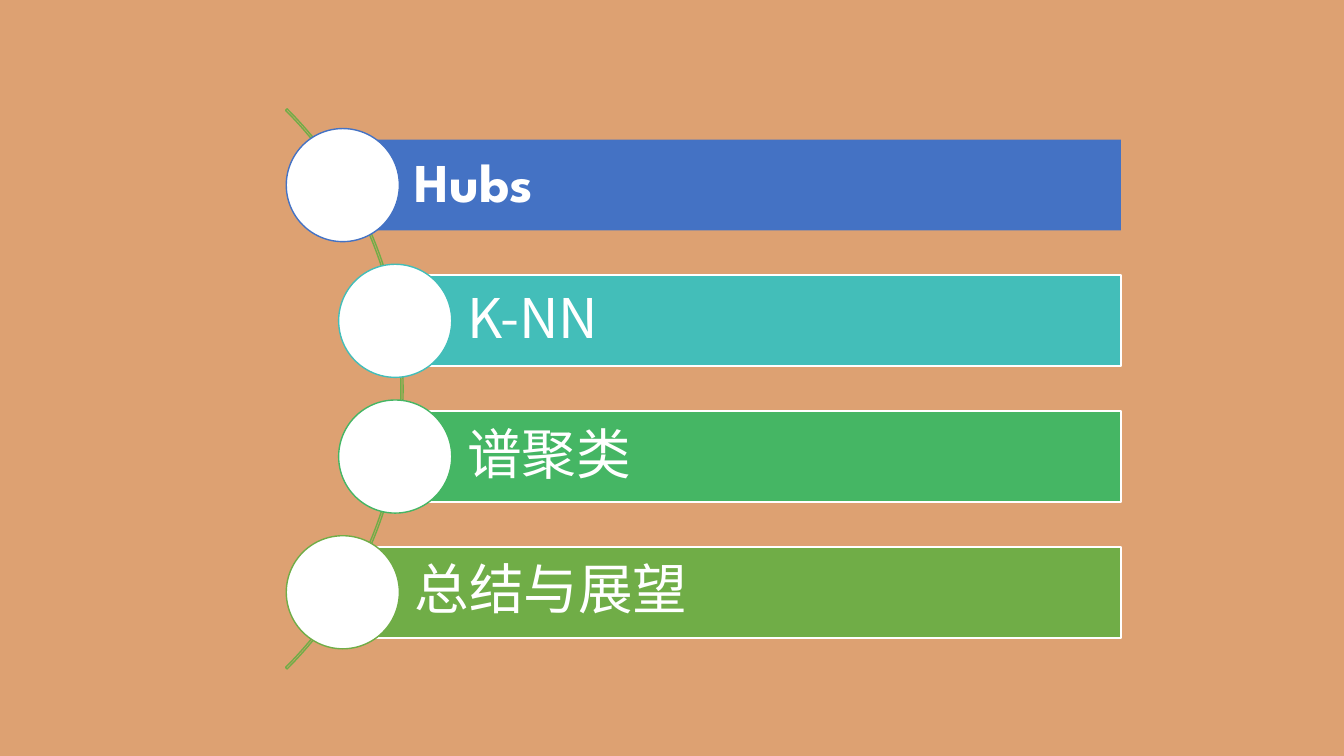
import pptx
import pptx.util
import pptx.dml.color
import pptx.enum.shapes
import pptx.enum.text
import pptx.oxml
import pptx.oxml.ns

Cm, Pt = pptx.util.Cm, pptx.util.Pt
RGBColor = pptx.dml.color.RGBColor
MSO_SHAPE = pptx.enum.shapes.MSO_SHAPE

SAND = RGBColor(0xDD, 0xA1, 0x72)
WHITE = RGBColor(0xFF, 0xFF, 0xFF)
BLUE = RGBColor(0x44, 0x72, 0xC4)
TEAL = RGBColor(0x43, 0xBE, 0xB9)
EMERALD = RGBColor(0x45, 0xB6, 0x64)
GREEN = RGBColor(0x70, 0xAD, 0x47)
SANS = "Noto Sans CJK SC"


def add_shape(s, kind, left, top, width, height, fill, line, line_width):
    sp = s.shapes.add_shape(kind, Cm(left), Cm(top), Cm(width), Cm(height))
    sp.shadow.inherit = False
    for fmt, color in ((sp.fill, fill), (sp.line.fill, line)):
        if color is None:
            fmt.background()
        else:
            fmt.solid()
            fmt.fore_color.rgb = color
    if line is not None:
        sp.line.width = Pt(line_width)
    return sp


prs = pptx.Presentation()
prs.slide_width, prs.slide_height = Cm(33.87), Cm(19.05)
s = prs.slides.add_slide(prs.slide_layouts[6])
s.background.fill.solid()
s.background.fill.fore_color.rgb = SAND

# Arc behind the agenda
arc = add_shape(s, MSO_SHAPE.BLOCK_ARC, -9.8, -0.18, 19.96, 19.96, None, GREEN, 1)
for i, value in enumerate((189, 27, 0.00275)):
    arc.adjustments[i] = value

# Agenda bars, each with a circle centred on its left end
BAR_TOP, BAR_STEP, BAR_HEIGHT, BAR_RIGHT = 3.52, 3.42, 2.29, 28.25
CIRCLE = 2.85
agenda = [
    ("Hubs", 8.64, BLUE, None, "League Spartan", True),
    ("K-NN", 9.96, TEAL, WHITE, SANS, False),
    ("谱聚类", 9.96, EMERALD, WHITE, SANS, False),
    ("总结与展望", 8.64, GREEN, WHITE, SANS, False),
]
frame_format = {
    "word_wrap": True,
    "vertical_anchor": pptx.enum.text.MSO_ANCHOR.MIDDLE,
    "margin_left": Cm(1.81),
    "margin_top": Cm(0.28),
    "margin_right": Cm(0.28),
    "margin_bottom": Cm(0.28),
}

for i, (text, left, color, border, font, bold) in enumerate(agenda):
    top = BAR_TOP + i * BAR_STEP
    bar = add_shape(s, MSO_SHAPE.RECTANGLE, left, top, BAR_RIGHT - left, BAR_HEIGHT,
                    color, border, 1.5)
    tf = bar.text_frame
    for name, value in frame_format.items():
        setattr(tf, name, value)
    p = tf.paragraphs[0]
    p.alignment = pptx.enum.text.PP_ALIGN.LEFT
    p.line_spacing = 0.9
    r = p.add_run()
    r.text = text
    for name, value in {"size": Pt(39), "bold": bold, "name": font}.items():
        setattr(r.font, name, value)
    r.font.color.rgb = WHITE
    # East Asian typeface
    ea = pptx.oxml.parse_xml(f'<a:ea {pptx.oxml.ns.nsdecls("a")} typeface="{font}"/>')
    r.font._element.append(ea)

    add_shape(s, MSO_SHAPE.OVAL, left - CIRCLE / 2, top + (BAR_HEIGHT - CIRCLE) / 2,
              CIRCLE, CIRCLE, WHITE, color, 1)

prs.save("out.pptx")
